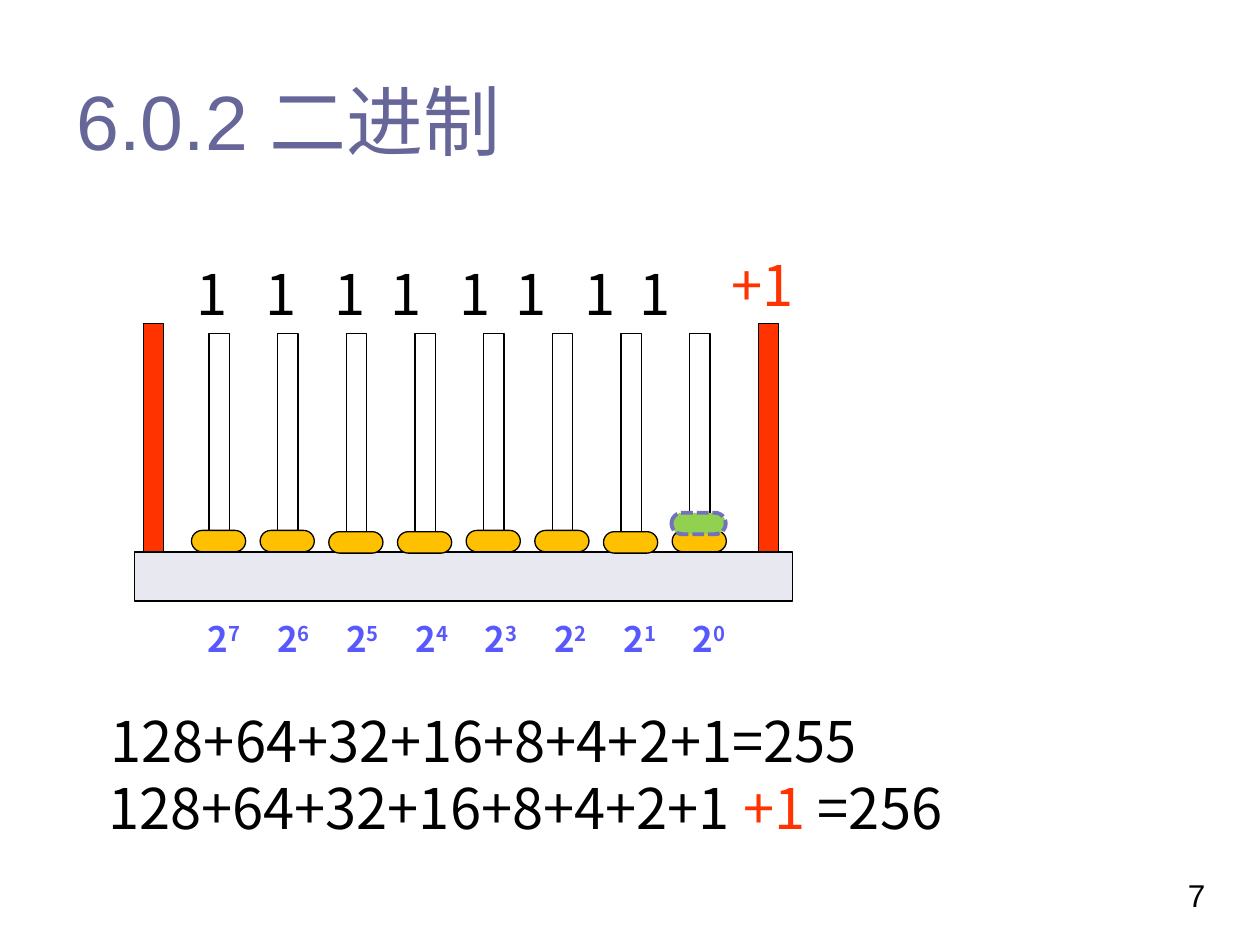
from lxml import etree
from pptx import Presentation
from pptx.dml.color import RGBColor
from pptx.enum.dml import MSO_LINE_DASH_STYLE as Dash
from pptx.enum.shapes import MSO_SHAPE as Shape
from pptx.enum.text import MSO_ANCHOR as Anchor, PP_ALIGN as Align
from pptx.oxml.ns import qn
from pptx.util import Inches, Pt

BLACK = RGBColor(0x00, 0x00, 0x00)
WHITE = RGBColor(0xFF, 0xFF, 0xFF)
RED = RGBColor(0xFF, 0x33, 0x00)
BASE_GRAY = RGBColor(0xE8, 0xE8, 0xF1)
AMBER = RGBColor(0xFF, 0xC0, 0x00)
GREEN = RGBColor(0x92, 0xD0, 0x50)
DASH_BLUE = RGBColor(0x71, 0x71, 0xBD)
POWER_BLUE = RGBColor(0x58, 0x58, 0xFF)
TITLE_BLUE = RGBColor(0x66, 0x66, 0x99)

LATIN = "Arial"
CJK = "Noto Sans CJK SC"
BITS = 8
ROD_STEP = 0.545
POWER_STEP = 0.55
DIGIT_GAPS = [0.55, 0.55, 0.44, 0.55, 0.44, 0.55, 0.44]
LOW_BEADS = (2, 3, 6)


def add_run(paragraph, text, size, color, font=CJK, bold=False):
    run = paragraph.add_run()
    run.text = text
    run.font.size = Pt(size)
    run.font.name = font
    run.font.bold = bold
    run.font.color.rgb = color
    east_asian = etree.SubElement(run._r.get_or_add_rPr(), qn("a:ea"))
    east_asian.set("typeface", CJK)
    return run


def add_label(slide, left, top, width, height):
    label = slide.shapes.add_textbox(Inches(left), Inches(top), Inches(width), Inches(height))
    label.text_frame.word_wrap = True
    return label.text_frame.paragraphs[0]


def add_part(slide, preset, left, top, width, height, fill, line=BLACK, weight=0.75):
    part = slide.shapes.add_shape(preset, Inches(left), Inches(top), Inches(width), Inches(height))
    part.shadow.inherit = False
    part.fill.solid()
    part.fill.fore_color.rgb = fill
    part.line.color.rgb = line
    part.line.width = Pt(weight)
    return part


def add_bead(slide, left, top, fill, line=BLACK, weight=0.75):
    bead = add_part(slide, Shape.ROUNDED_RECTANGLE, left, top, 0.43, 0.17, fill, line, weight)
    bead.adjustments[0] = 0.5
    return bead


def add_title(slide):
    title = slide.shapes.title
    title.left, title.top = Inches(0.51), Inches(0.36)
    title.width, title.height = Inches(8.9), Inches(1.18)
    title.text_frame.vertical_anchor = Anchor.MIDDLE
    heading = title.text_frame.paragraphs[0]
    heading.alignment = Align.LEFT
    add_run(heading, "6.0.2 二", 44, TITLE_BLUE, LATIN)
    add_run(heading, "进制", 44, TITLE_BLUE)


def add_powers(slide):
    for column in range(BITS):
        power = add_label(slide, 1.55 + column * POWER_STEP, 4.85, 0.71, 0.44)
        add_run(power, "2", 20, POWER_BLUE, bold=True)
        exponent = add_run(power, str(BITS - 1 - column), 20, POWER_BLUE, bold=True)
        exponent._r.get_or_add_rPr().set("baseline", "30000")


def add_digits(slide):
    digits = add_label(slide, 1.46, 2.01, 5.48, 0.64)
    tabs = etree.SubElement(digits._p.get_or_add_pPr(), qn("a:tabLst"))
    for count in range(1, BITS):
        stop = etree.SubElement(tabs, qn("a:tab"))
        stop.set("pos", str(Inches(sum(DIGIT_GAPS[:count]))))
        stop.set("algn", "l")
    add_run(digits, "\t".join("1" * BITS), 32, BLACK)


def add_abacus(slide):
    for post_left in (1.14, 6.02):
        add_part(slide, Shape.RECTANGLE, post_left, 2.57, 0.16, 1.81, RED)
    add_part(slide, Shape.RECTANGLE, 1.07, 4.38, 5.22, 0.39, BASE_GRAY)
    for column in range(BITS):
        add_part(slide, Shape.RECTANGLE, 1.66 + column * ROD_STEP, 2.65, 0.16, 1.73, WHITE)
    for column in range(BITS):
        bead_top = 4.22 if column in LOW_BEADS else 4.21
        add_bead(slide, 1.52 + column * ROD_STEP, bead_top, AMBER)
    extra_bead = add_bead(slide, 5.33, 4.07, GREEN, DASH_BLUE, 2.25)
    extra_bead.line.dash_style = Dash.SQUARE_DOT


def add_sums(slide):
    full_sum = add_label(slide, 0.78, 5.56, 8.35, 0.64)
    add_run(full_sum, "128+64+32+16+8+4+2+1=255", 32, BLACK)
    carry_sum = add_label(slide, 0.76, 6.09, 8.35, 0.64)
    add_run(carry_sum, "128+64+32+16+8+4+2+1 ", 32, BLACK)
    add_run(carry_sum, "+1", 32, RED)
    add_run(carry_sum, " =256", 32, BLACK)
    increment = add_label(slide, 5.71, 1.94, 0.75, 0.64)
    add_run(increment, "+1", 32, RED)


def main():
    deck = Presentation()
    deck.slide_width, deck.slide_height = Inches(10), Inches(7.5)
    slide = deck.slides.add_slide(deck.slide_layouts[5])
    add_title(slide)
    add_powers(slide)
    add_digits(slide)
    add_abacus(slide)
    add_sums(slide)
    page_number = add_label(slide, 9.33, 6.9, 0.55, 0.4)
    add_run(page_number, "7", 18, BLACK, LATIN)
    deck.save("out.pptx")


if __name__ == "__main__":
    main()
